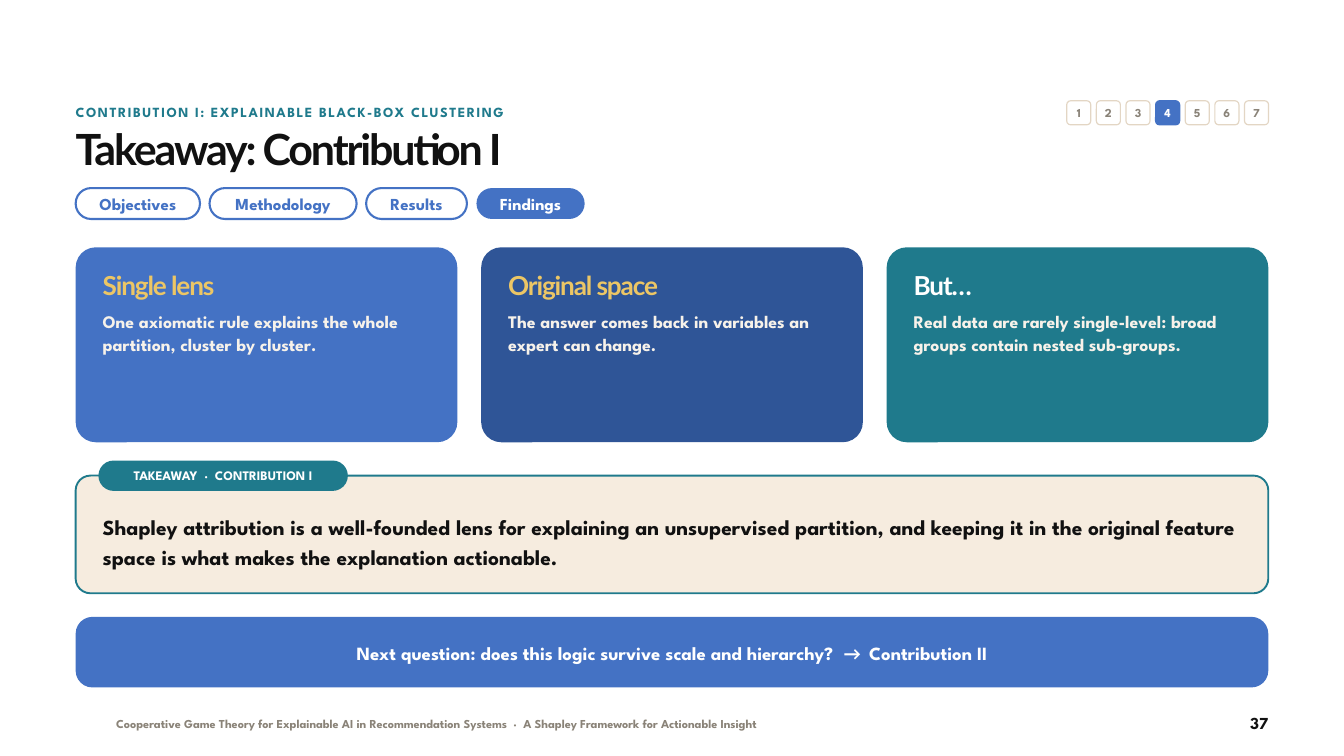
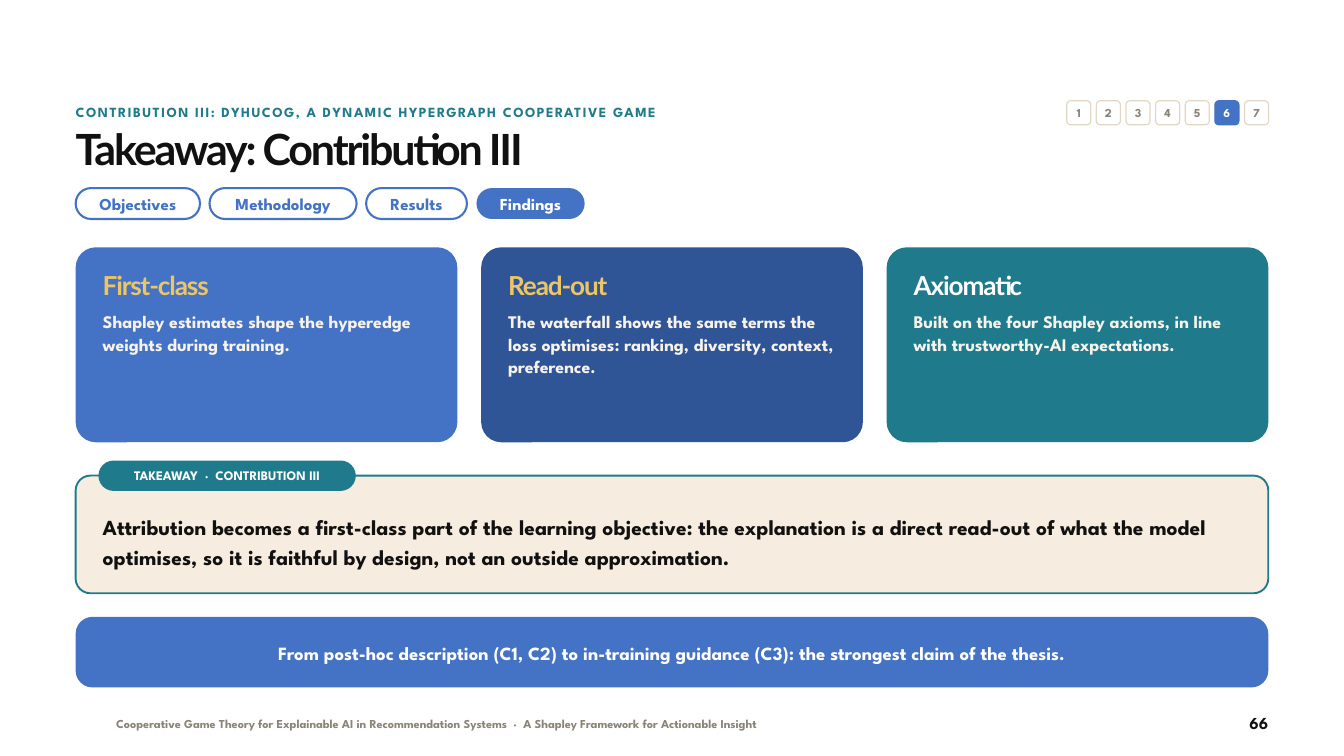
from pptx import Presentation
from pptx.dml.color import RGBColor
from pptx.enum.shapes import MSO_SHAPE as Shape
from pptx.enum.text import MSO_ANCHOR as Anchor, PP_ALIGN as Align
from pptx.util import Cm, Pt

color = RGBColor.from_string
BLUE, NAVY, TEAL = "4472C4", "2F5597", "1F7A8C"
GOLD, CREAM, SAND, EDGE = "ECC665", "F7F2EA", "F6ECDF", "E3D6C4"
INK, GRAY, WHITE = "111111", "8A8378", "FFFFFF"
SANS, HEAD = "League Spartan", "Lato"
LEFT, WIDE = 2.86, 45.08
RIGHT = LEFT + WIDE
INSET = 1.02

FOOTER = ("Cooperative Game Theory for Explainable AI in Recommendation Systems"
          "  ·  A Shapley Framework for Actionable Insight")
TABS = [("Objectives", 4.7), ("Methodology", 5.56), ("Results", 3.81), ("Findings", 4.09)]
STYLES = [(BLUE, GOLD), (NAVY, GOLD), (TEAL, WHITE)]

SLIDES = [
    dict(
        part="Contribution I", topic="EXPLAINABLE BLACK-BOX CLUSTERING",
        page="37", step=4, label=9.35,
        cards=[
            ("Single lens",
             "One axiomatic rule explains the whole partition, cluster by cluster."),
            ("Original space",
             "The answer comes back in variables an expert can change."),
            ("But…",
             "Real data are rarely single-level: broad groups contain nested sub-groups."),
        ],
        claim="Shapley attribution is a well-founded lens for explaining an unsupervised "
              "partition, and keeping it in the original feature space is what makes the "
              "explanation actionable.",
        banner=["Next question: does this logic survive scale and hierarchy?  ",
                "→  ", "Contribution II"],
    ),
    dict(
        part="Contribution III", topic="DYHUCOG, A DYNAMIC HYPERGRAPH COOPERATIVE GAME",
        page="66", step=6, label=9.65,
        cards=[
            ("First-class",
             "Shapley estimates shape the hyperedge weights during training."),
            ("Read-out",
             "The waterfall shows the same terms the loss optimises: ranking, diversity, "
             "context, preference."),
            ("Axiomatic",
             "Built on the four Shapley axioms, in line with trustworthy-AI expectations."),
        ],
        claim="Attribution becomes a first-class part of the learning objective: the "
              "explanation is a direct read-out of what the model optimises, so it is "
              "faithful by design, not an outside approximation.",
        banner=["From post-hoc description (C1, C2) to in-training guidance (C3): "
                "the strongest claim of the thesis."],
    ),
]


def box(place, curve=None, fill=None, line=None, weight=2.25, anchor=Anchor.MIDDLE, pad=0):
    """Add a rounded box, or a text box if there is no curve; return its text frame."""
    area = [Cm(n) for n in place]
    if curve is None:
        shape = slide.shapes.add_textbox(*area)
    else:
        shape = slide.shapes.add_shape(Shape.ROUNDED_RECTANGLE, *area)
        shape.adjustments[0] = curve
        shape.shadow.inherit = False
        if fill:
            shape.fill.solid()
            shape.fill.fore_color.rgb = color(fill)
        else:
            shape.fill.background()
        if line:
            shape.line.color.rgb = color(line)
            shape.line.width = Pt(weight)
        else:
            shape.line.fill.background()
    frame = shape.text_frame
    frame.word_wrap = True
    frame.vertical_anchor = anchor
    frame.margin_left = frame.margin_right = Cm(pad)
    frame.margin_top = frame.margin_bottom = 0
    return frame


def write(frame, text, size, ink, lead, align=Align.LEFT, name=SANS, track=0):
    """Fill the first free paragraph; lead is the line height, track the letter spacing."""
    para = frame.paragraphs[0]
    if para.text:
        para = frame.add_paragraph()
    para.add_run().text = text
    para.alignment = align
    para.line_spacing = Pt(lead)
    font = para.font
    font.name, font.size, font.bold = name, Pt(size), True
    font.color.rgb = color(ink)
    if track:
        para._p.pPr.get_or_add_defRPr().set("spc", str(round(track * 100)))
    return para


deck = Presentation()
deck.slide_width, deck.slide_height = Cm(50.8), Cm(28.58)

for data in SLIDES:
    slide = deck.slides.add_slide(deck.slide_layouts[6])
    part = data["part"]

    # Footer
    frame = box((4.39, 27.08, 35.56, 0.76), anchor=Anchor.TOP)
    write(frame, FOOTER, 13, GRAY, 16)
    frame = box((RIGHT - 3.05, 26.92, 3.05, 0.91), anchor=Anchor.TOP)
    write(frame, data["page"], 18, INK, 22, Align.RIGHT)

    # Heading
    frame = box((LEFT, 3.86, 35.94, 0.91), anchor=Anchor.TOP)
    write(frame, f"{part.upper()}: {data['topic']}", 15, TEAL, 20, track=1.6)
    frame = box((LEFT, 4.78, WIDE, 2.03), anchor=Anchor.TOP)
    write(frame, f"Takeaway: {part}", 46, INK, 50.6, name=HEAD, track=-2.3)

    # Step counter
    for i in range(7):
        on = i + 1 == data["step"]
        frame = box((40.32 + i * 1.12, 3.81, 0.91, 0.91), 0.167,
                    BLUE if on else WHITE, BLUE if on else EDGE, 1.25)
        write(frame, str(i + 1), 13, WHITE if on else GRAY, 15, Align.CENTER)

    # Section tabs
    left = LEFT
    for text, width in TABS:
        on = text == "Findings"
        frame = box((left, 7.11, width, 1.17), 0.5,
                    BLUE if on else None, None if on else BLUE, pad=0.13)
        write(frame, text, 18, WHITE if on else BLUE, 21.6, Align.CENTER)
        left += width + 0.36

    # Cards
    gap = 0.9
    width = (WIDE - 2 * gap) / 3
    for i, ((head, body), (fill, ink)) in enumerate(zip(data["cards"], STYLES)):
        left = LEFT + i * (width + gap)
        box((left, 9.35, width, 7.37), 0.103, fill)
        frame = box((left + INSET, 10.24, width - 2 * INSET, 5.84), anchor=Anchor.TOP)
        write(frame, head, 28, ink, 32, name=HEAD, track=-1.2)
        write(frame, body, 19, CREAM, 24).space_before = Pt(10)

    # Takeaway
    box((LEFT, 17.98, WIDE, 4.45), 0.126, SAND, TEAL, 2)
    frame = box((3.76, 17.45, data["label"], 1.07), 0.5, TEAL, TEAL, pad=0.13)
    write(frame, f"TAKEAWAY  ·  {part.upper()}", 14, WHITE, 16.8, Align.CENTER)
    frame = box((LEFT + INSET, 18.75, WIDE - 2 * INSET, 3.3))
    write(frame, data["claim"], 23, INK, 32.2)

    # Closing banner
    frame = box((LEFT, 23.32, WIDE, 2.67), 0.238, BLUE, pad=1.27)
    first, *rest = data["banner"]
    para = write(frame, first, 20, WHITE, 25, Align.CENTER)
    for text in rest:
        run = para.add_run()
        run.text = text
        if "→" in text:
            run.font.name = "Calibri"

deck.save("out.pptx")
